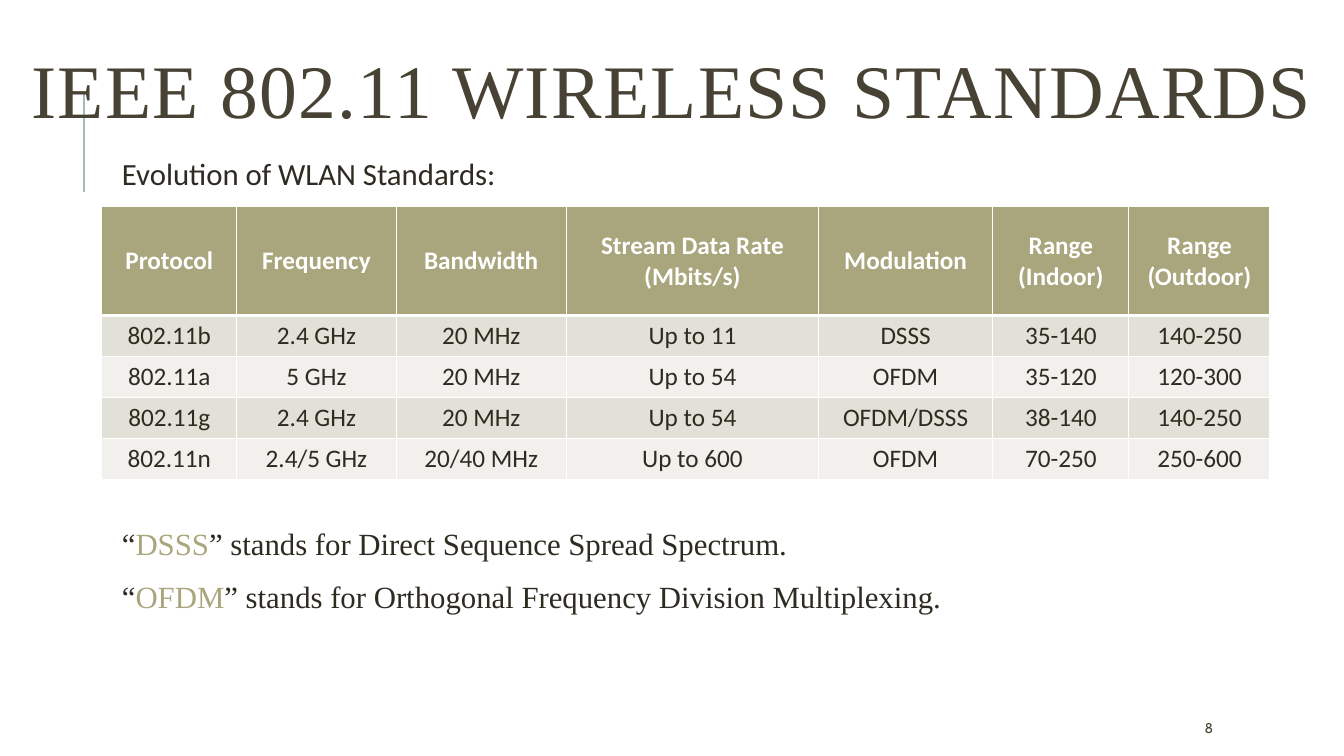
import pptx
import pptx.util
import pptx.dml.color
import pptx.enum.shapes
import pptx.enum.text
import pptx.oxml
import pptx.oxml.ns

RGBColor = pptx.dml.color.RGBColor
ALIGN = pptx.enum.text.PP_ALIGN
ANCHOR = pptx.enum.text.MSO_ANCHOR
Pt = pptx.util.Pt

# Colours
WHITE = RGBColor(0xFF, 0xFF, 0xFF)
BROWN = RGBColor(0x47, 0x42, 0x33)
INK = RGBColor(0x2E, 0x2B, 0x21)
OLIVE = RGBColor(0xA9, 0xA5, 0x7C)
BAND_DARK = RGBColor(0xE2, 0xE1, 0xD7)
BAND_LIGHT = RGBColor(0xF1, 0xF0, 0xEC)
TEAL = RGBColor(0x9C, 0xBE, 0xBD)

# Grid: one step is a tenth of an inch in both directions
STEP = pptx.util.Inches(0.1)
SLIDE_COLUMNS, SLIDE_ROWS = 133.33, 75
TEXT_LEFT = 12.1

# Text formats
SERIF, SANS = "Times New Roman", "Calibri"
TITLE = {"name": SERIF, "size": Pt(54), "color": BROWN}
INTRO = {"name": SANS, "size": Pt(22), "color": INK}
DEFINITION = {"name": SERIF, "size": Pt(22), "color": INK}
TERM = {**DEFINITION, "color": OLIVE}
NUMBER = {"name": "Cabin", "size": Pt(10), "color": BROWN}
BODY_CELL = {"name": SANS, "size": Pt(18), "color": INK, "bold": False}
HEADER_CELL = {**BODY_CELL, "color": WHITE, "bold": True}

# Table content and proportions
STANDARDS = [
    ["Protocol", "Frequency", "Bandwidth", "Stream Data Rate (Mbits/s)",
     "Modulation", "Range (Indoor)", "Range (Outdoor)"],
    ["802.11b", "2.4 GHz", "20 MHz", "Up to 11", "DSSS", "35-140", "140-250"],
    ["802.11a", "5 GHz", "20 MHz", "Up to 54", "OFDM", "35-120", "120-300"],
    ["802.11g", "2.4 GHz", "20 MHz", "Up to 54", "OFDM/DSSS", "38-140", "140-250"],
    ["802.11n", "2.4/5 GHz", "20/40 MHz", "Up to 600", "OFDM", "70-250", "250-600"],
]
COLUMN_WIDTHS = [13.4, 15.8, 16.9, 25, 17.3, 13.5, 14]
ROW_HEIGHTS = [10.8] + [4.06] * 4

DEFINITIONS = [
    ("DSSS", "Direct Sequence Spread Spectrum"),
    ("OFDM", "Orthogonal Frequency Division Multiplexing"),
]


def steps(count):
    return round(count * STEP)


def set_all(target, values):
    for name, value in values.items():
        setattr(target, name, value)


def place(shape, left, top, width, height):
    set_all(shape, {"left": steps(left), "top": steps(top),
                    "width": steps(width), "height": steps(height)})


def add_span(para, text, style):
    span = para.add_run()
    span.text = text
    for name, value in style.items():
        if name == "color":
            span.font.color.rgb = value
        else:
            setattr(span.font, name, value)
    return span


def add_text(page, area, paragraphs, anchor=ANCHOR.TOP):
    """Each paragraph is a list of (text, style) spans."""
    box = page.shapes.add_textbox(*map(steps, area))
    frame = box.text_frame
    set_all(frame, {"word_wrap": True, "vertical_anchor": anchor,
                    "margin_left": 0, "margin_right": 0,
                    "margin_top": 0, "margin_bottom": 0})
    for index, spans in enumerate(paragraphs):
        para = frame.add_paragraph() if index else frame.paragraphs[0]
        set_all(para, {"line_spacing": 0.9, "space_after": Pt(14)})
        for text, style in spans:
            add_span(para, text, style)


def format_title(page, text):
    title = page.shapes.title
    place(title, 0, 4.6, SLIDE_COLUMNS, 10)
    set_all(title.text_frame, {"word_wrap": True, "vertical_anchor": ANCHOR.MIDDLE,
                               "auto_size": pptx.enum.text.MSO_AUTO_SIZE.NONE})
    para = title.text_frame.paragraphs[0]
    set_all(para, {"alignment": ALIGN.CENTER, "line_spacing": 0.8})
    span = add_span(para, text, TITLE)
    span.font._element.set("spc", "100")


def add_accent_line(page, column, top, bottom):
    line = page.shapes.add_connector(
        pptx.enum.shapes.MSO_CONNECTOR.STRAIGHT,
        steps(column), steps(bottom), steps(column), steps(top))
    line.line.color.rgb = TEAL
    line.line.width = Pt(1.5)
    line.element.spPr.append(pptx.oxml.parse_xml(
        f"<a:effectLst {pptx.oxml.ns.nsdecls('a')}/>"))
    page.shapes.title.element.addprevious(line.element)


def set_borders(cell, widths):
    properties = cell._tc.get_or_add_tcPr()
    for index, (side, width) in enumerate(widths.items()):
        properties.insert(index, pptx.oxml.parse_xml(
            f'<a:ln{side} {pptx.oxml.ns.nsdecls("a")} w="{Pt(width)}">'
            f'<a:solidFill><a:srgbClr val="{WHITE}"/></a:solidFill></a:ln{side}>'))


def add_standards_table(page, left, top):
    frame = page.shapes.add_table(
        len(ROW_HEIGHTS), len(COLUMN_WIDTHS), steps(left), steps(top),
        steps(sum(COLUMN_WIDTHS)), steps(sum(ROW_HEIGHTS)))
    table = frame.table
    for column, width in zip(table.columns, COLUMN_WIDTHS):
        column.width = steps(width)
    for row, height in zip(table.rows, ROW_HEIGHTS):
        row.height = steps(height)
    for row_index, texts in enumerate(STANDARDS):
        header = row_index == 0
        band = BAND_DARK if row_index % 2 else BAND_LIGHT
        for column_index, text in enumerate(texts):
            cell = table.cell(row_index, column_index)
            cell.vertical_anchor = ANCHOR.MIDDLE
            cell.fill.solid()
            cell.fill.fore_color.rgb = OLIVE if header else band
            set_borders(cell, {"L": 1, "R": 1, "T": 3 if row_index == 1 else 1,
                               "B": 3 if header else 1})
            para = cell.text_frame.paragraphs[0]
            para.alignment = ALIGN.CENTER
            add_span(para, text, HEADER_CELL if header else BODY_CELL)


def main():
    deck = pptx.Presentation()
    deck.slide_width, deck.slide_height = steps(SLIDE_COLUMNS), steps(SLIDE_ROWS)
    page = deck.slides.add_slide(deck.slide_layouts.get_by_name("Title Only"))

    # Heading
    format_title(page, "IEEE 802.11 WIRELESS STANDARDS")
    add_accent_line(page, 8.3, 9, 19)

    # Standards and their abbreviations
    add_text(page, (TEXT_LEFT, 15.8, 110, 4),
             [[("Evolution of WLAN Standards:", INTRO)]])
    add_standards_table(page, 10.1, 20.5)
    add_text(page, (TEXT_LEFT, 52.5, 110, 10),
             [[("“", DEFINITION), (term, TERM),
               (f"” stands for {meaning}.", DEFINITION)]
              for term, meaning in DEFINITIONS])

    # Slide number
    add_text(page, (119.5, 70.8, 8.6, 3), [[("8", NUMBER)]], ANCHOR.MIDDLE)

    deck.save("out.pptx")


if __name__ == "__main__":
    main()
